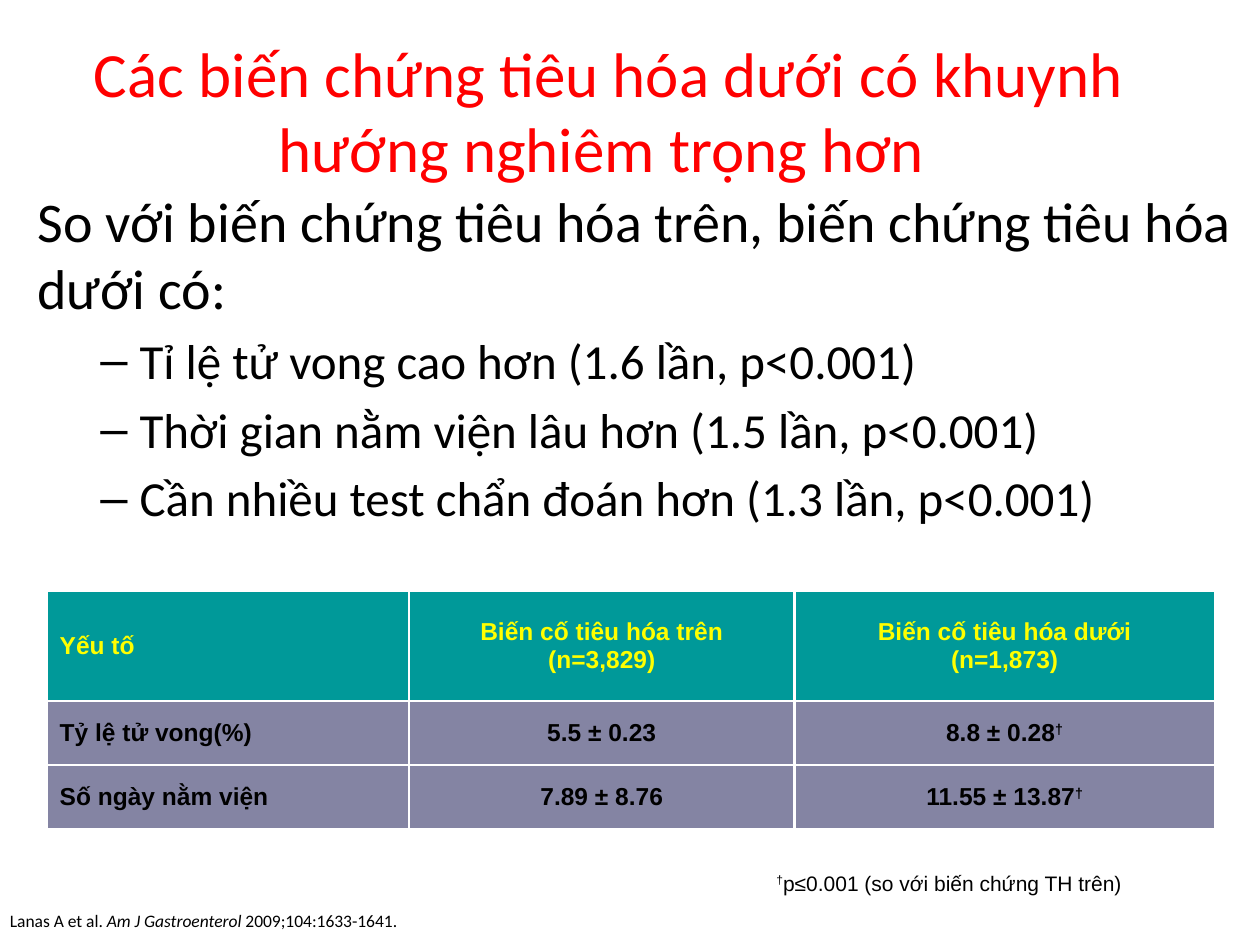
from copy import deepcopy
from dataclasses import dataclass

from lxml import etree
from pptx import Presentation
from pptx import util as u
from pptx.dml.color import RGBColor
from pptx.enum import text
from pptx.oxml.ns import qn


@dataclass(frozen=True)
class Theme:
    heading_font: str = "Calibri"
    table_font: str = "Arial"
    title: str = "FF0000"
    ink: str = "000000"
    header_ink: str = "FFFF00"
    header_fill: str = "009999"
    row_fill: str = "333366"
    row_alpha: int = 60
    border: str = "FFFFFF"
    border_pt: float = 1.5
    title_pt: int = 36
    lead_pt: int = 32
    item_pt: int = 28
    table_pt: int = 14
    note_pt: int = 12
    source_pt: int = 10


THEME = Theme()
DAGGER = "†"
LEFT, CENTER = text.PP_ALIGN.LEFT, text.PP_ALIGN.CENTER

TITLE = "Các biến chứng tiêu hóa dưới có khuynh hướng nghiêm trọng hơn "
LEAD = "So với biến chứng tiêu hóa trên, biến chứng tiêu hóa dưới có:"
ITEMS = [
    "Tỉ lệ tử vong cao hơn (1.6 lần, p<0.001)",
    "Thời gian nằm viện lâu hơn (1.5 lần, p<0.001)",
    "Cần nhiều test chẩn đoán hơn (1.3 lần, p<0.001)",
]
ROWS = [
    [["Yếu tố"], ["Biến cố tiêu hóa trên\v(n=3,829)"], ["Biến cố tiêu hóa dưới\v(n=1,873)"]],
    [["Tỷ lệ tử vong(%)"], ["5.5 ± 0.23"], ["8.8 ± 0.28", DAGGER]],
    [["Số ngày nằm viện"], ["7.89 ± 8.76"], ["11.55 ± 13.87", DAGGER]],
]
NOTE = [DAGGER, "p≤0.001 (so với biến chứng TH trên)"]
JOURNAL = "Am J Gastroenterol "
SOURCE = ["Lanas A et al. ", JOURNAL, "2009;104:1633-1641."]


def write(p, parts, font, size, color, bold=False):
    p.text = parts[0]
    for part in parts[1:]:
        p.add_run().text = part
    for r in p.runs:
        r.font.name, r.font.size, r.font.bold = font, u.Pt(size), bold
        r.font.color.rgb = RGBColor.from_string(color)
        if r.text == DAGGER:
            r.font._element.set("baseline", "30000")
    for br in p._p.findall(qn("a:br")):
        br.insert(0, deepcopy(p.runs[0].font._element))


def place(s, box):
    s.left, s.top, s.width, s.height = (u.Cm(v) for v in box)


def set_indent(p, margin, hanging):
    pPr = p._p.get_or_add_pPr()
    pPr.set("marL", str(u.Cm(margin)))
    pPr.set("indent", str(u.Cm(-hanging)))
    return pPr


def add_title(slide, box):
    s = slide.shapes.title
    place(s, box)
    tf = s.text_frame
    tf.auto_size = text.MSO_AUTO_SIZE.NONE
    tf.vertical_anchor = text.MSO_ANCHOR.MIDDLE
    p = tf.paragraphs[0]
    write(p, [TITLE], THEME.heading_font, THEME.title_pt, THEME.title)
    p.alignment = CENTER


def add_body(slide, box):
    s = slide.placeholders[1]
    place(s, box)
    tf = s.text_frame
    tf.auto_size = text.MSO_AUTO_SIZE.NONE
    tf.text = "\n".join([LEAD, *ITEMS])
    lead, *items = tf.paragraphs
    etree.SubElement(set_indent(lead, 0, 0), qn("a:buNone"))
    lead.space_before = u.Pt(0)
    write(lead, [LEAD], THEME.heading_font, THEME.lead_pt, THEME.ink)
    for p, item in zip(items, ITEMS):
        p.level = 1
        bullet = etree.SubElement(set_indent(p, 2.06, 0.79), qn("a:buChar"))
        bullet.set("char", "–")
        p.space_before = u.Pt(THEME.item_pt * 0.2)
        write(p, [item], THEME.heading_font, THEME.item_pt, THEME.ink)


def add_borders(cell):
    tcPr = cell._tc.get_or_add_tcPr()
    for i, side in enumerate(("lnL", "lnR", "lnT", "lnB")):
        ln = etree.Element(qn(f"a:{side}"), w=str(u.Pt(THEME.border_pt)))
        fill = etree.SubElement(ln, qn("a:solidFill"))
        etree.SubElement(fill, qn("a:srgbClr"), val=THEME.border)
        tcPr.insert(i, ln)


def fill_cell(cell, color, alpha):
    cell.fill.solid()
    cell.fill.fore_color.rgb = RGBColor.from_string(color)
    if alpha < 100:
        clr = cell._tc.tcPr.find(f".//{qn('a:srgbClr')}")
        etree.SubElement(clr, qn("a:alpha"), val=str(alpha * 1000))


def add_outcome_table(slide, box):
    left, top, width, height = (u.Cm(v) for v in box)
    table = slide.shapes.add_table(len(ROWS), len(ROWS[0]), left, top, width, height).table
    table.first_row = table.horz_banding = False
    for column, share in zip(table.columns, (0.31, 0.33, 0.36)):
        column.width = int(width * share)
    for row, share in zip(table.rows, (0.46, 0.27, 0.27)):
        row.height = int(height * share)
    for i, row in enumerate(ROWS):
        header = i == 0
        for j, parts in enumerate(row):
            cell = table.cell(i, j)
            cell.vertical_anchor = text.MSO_ANCHOR.MIDDLE
            p = cell.text_frame.paragraphs[0]
            write(p, parts, THEME.table_font, THEME.table_pt,
                  THEME.header_ink if header else THEME.ink, bold=True)
            p.alignment = CENTER if j else LEFT
            p.space_before = u.Pt(0)
            fill_cell(cell, THEME.header_fill if header else THEME.row_fill,
                      100 if header else THEME.row_alpha)
            add_borders(cell)


def add_note(slide, box):
    tf = slide.shapes.add_textbox(*(u.Cm(v) for v in box)).text_frame
    tf.word_wrap = True
    write(tf.paragraphs[0], NOTE, THEME.table_font, THEME.note_pt, THEME.ink)


def add_source(slide, box):
    tf = slide.shapes.add_textbox(*(u.Cm(v) for v in box)).text_frame
    tf.word_wrap = True
    tf.vertical_anchor = text.MSO_ANCHOR.BOTTOM
    tf.margin_left = tf.margin_bottom = 0
    p = tf.paragraphs[0]
    set_indent(p, 0.48, 0.48)
    write(p, SOURCE, THEME.heading_font, THEME.source_pt, THEME.ink)
    for r in p.runs:
        r.font.italic = r.text == JOURNAL


def main():
    prs = Presentation()
    prs.slide_width, prs.slide_height = u.Cm(25.4), u.Cm(19.05)
    slide = prs.slides.add_slide(prs.slide_layouts[1])
    add_title(slide, (0.84, 0.84, 22.86, 2.74))
    add_body(slide, (0.5, 3.63, 24.75, 13.94))
    add_source(slide, (0.2, 18.21, 25.02, 0.56))
    add_note(slide, (15.4, 17.42, 10, 0.76))
    add_outcome_table(slide, (0.95, 11.92, 23.54, 4.8))
    prs.save("out.pptx")


if __name__ == "__main__":
    main()
